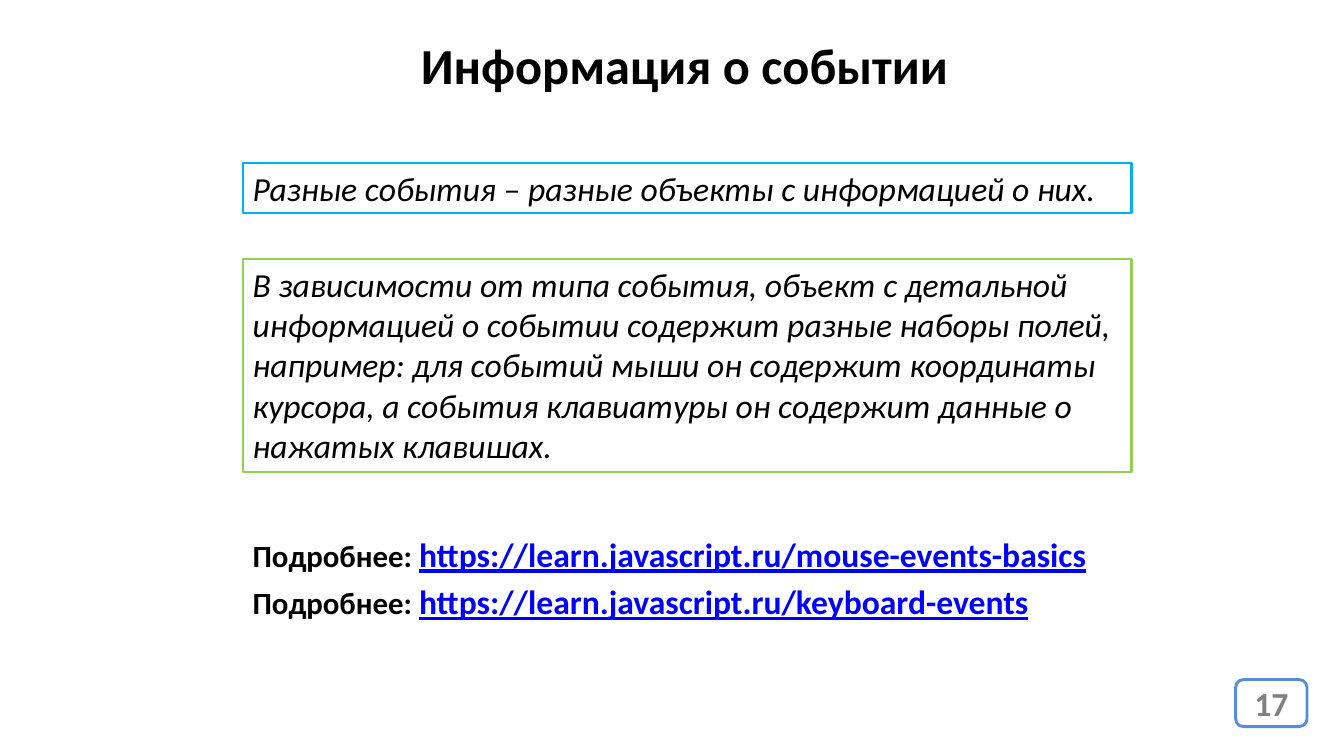
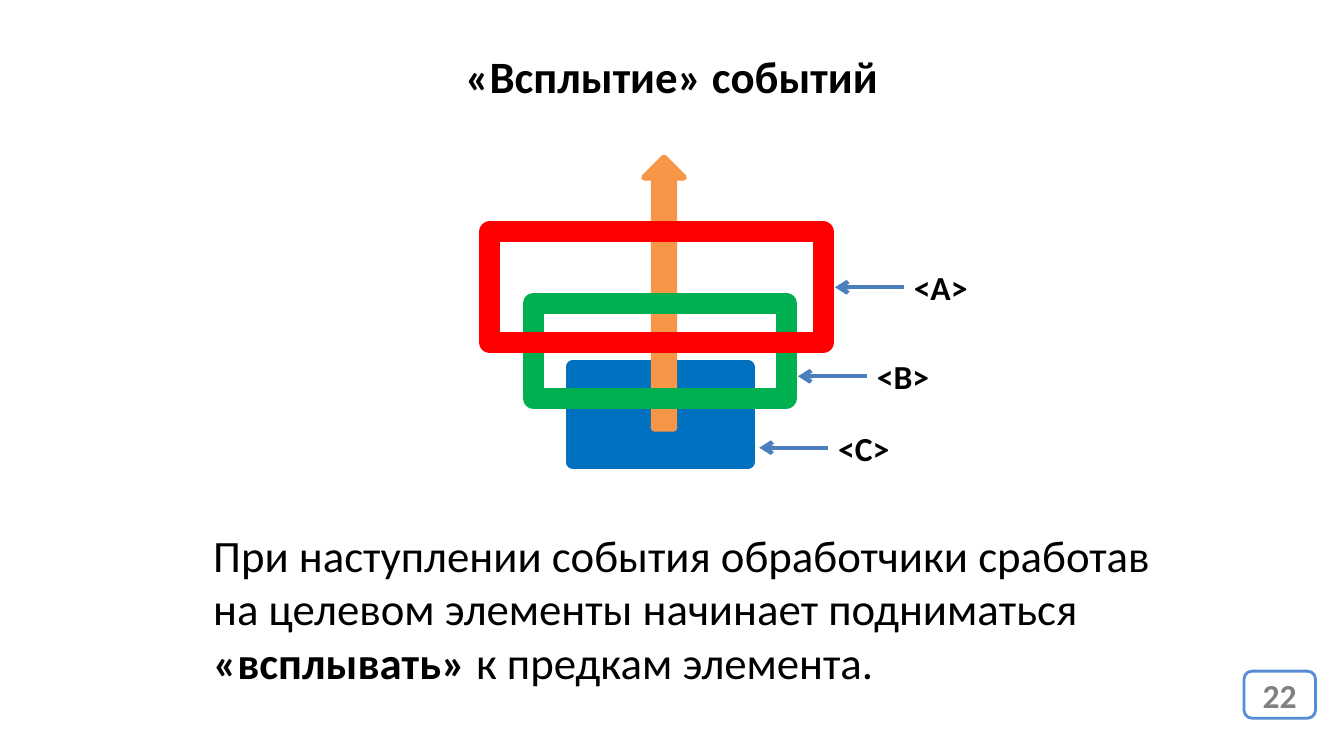
from lxml.etree import SubElement
from pptx import Presentation
from pptx.dml.color import RGBColor
from pptx.enum.shapes import MSO_CONNECTOR, MSO_SHAPE
from pptx.enum.text import MSO_ANCHOR, MSO_AUTO_SIZE, PP_ALIGN
from pptx.oxml.ns import qn
from pptx.util import Inches, Pt

COLUMNS, ROWS = 160, 90
WIDTH, HEIGHT = Inches(13.33), Inches(7.5)
FONT = "Calibri"
COLORS = {
    "text": "000000",
    "link": "0000FF",
    "number": "808080",
    "badge": "558ED5",
    "white": "FFFFFF",
    "note": "00B0F0",
    "detail": "92D050",
    "pointer": "4B7EBC",
    "bubble": "F79646",
    "outer": "FF0000",
    "middle": "00B050",
    "target": "0070C0",
}
TITLE_ONLY = 5
POINTER_GAP, POINTER_LENGTH = 1.4, 8.2
LABEL_HEIGHT = 6


def rgb(name):
    return RGBColor.from_string(COLORS[name])


def grid(x, y):
    """Turn a column and a row into slide lengths."""
    return round(WIDTH * x / COLUMNS), round(HEIGHT * y / ROWS)


def area(x, y, columns, rows):
    return *grid(x, y), *grid(columns, rows)


def write(shape, runs, align=PP_ALIGN.LEFT, anchor=MSO_ANCHOR.TOP, wrap=True):
    """Fill a shape with one paragraph of (text, size, style) runs."""
    frame = shape.text_frame
    frame.auto_size = MSO_AUTO_SIZE.NONE
    frame.word_wrap = wrap
    frame.vertical_anchor = anchor
    paragraph = frame.paragraphs[0]
    paragraph.alignment = align
    for text, size, style in runs:
        run = paragraph.add_run()
        run.text = text
        font = run.font
        font.name, font.size = FONT, Pt(size)
        font.bold = style.get("bold", False)
        font.italic = style.get("italic", False)
        font.underline = style.get("underline", False)
        font.color.rgb = rgb(style.get("color", "text"))


def add_text(slide, place, runs, **layout):
    write(slide.shapes.add_textbox(*area(*place)), runs, **layout)


def add_figure(slide, kind, place, line, weight, fill=None):
    figure = slide.shapes.add_shape(kind, *area(*place))
    figure.shadow.inherit = False
    figure.line.color.rgb = rgb(line)
    figure.line.width = Pt(weight)
    if fill:
        figure.fill.solid()
        figure.fill.fore_color.rgb = rgb(fill)
    else:
        figure.fill.background()
    return figure


def add_framed_text(slide, place, line, text):
    frame = add_figure(slide, MSO_SHAPE.RECTANGLE, place, line, 1.5)
    write(frame, [(text, 24, {"italic": True})])


def add_pointer(slide, edge, row, label):
    """Point from a label at the right edge of an element."""
    tip = edge + POINTER_GAP
    start = tip + POINTER_LENGTH
    pointer = slide.shapes.add_connector(
        MSO_CONNECTOR.STRAIGHT, *grid(start, row), *grid(tip, row))
    pointer.line.color.rgb = rgb("pointer")
    pointer.line.width = Pt(3)
    SubElement(pointer.line._get_or_add_ln(), qn("a:tailEnd"), type="arrow")
    SubElement(pointer._element.spPr, qn("a:effectLst"))
    add_text(slide, (start, row - LABEL_HEIGHT / 2, 9, LABEL_HEIGHT),
             [(label, 24, {"bold": True})], wrap=False)


def add_titled_slide(deck, title, size, title_place, number, badge_corner):
    slide = deck.slides.add_slide(deck.slide_layouts[TITLE_ONLY])
    heading = slide.shapes.title
    heading.left, heading.top, heading.width, heading.height = area(*title_place)
    write(heading, [(title, size, {"bold": True})], align=PP_ALIGN.CENTER)
    badge = add_figure(slide, MSO_SHAPE.ROUNDED_RECTANGLE,
                       (*badge_corner, 8.5, 5.6), "badge", 2, "white")
    write(badge, [(number, 24, {"bold": True, "color": "number"})],
          align=PP_ALIGN.CENTER, anchor=MSO_ANCHOR.MIDDLE)
    return slide


def build_event_info(deck):
    slide = add_titled_slide(deck, "Информация о событии", 36,
                             (48.5, 3.5, 66, 8.5), "17", (147.1, 80.9))
    left, width = 28.9, 105.8
    add_framed_text(slide, (left, 19.4, width, 6), "note",
                    "Разные события – разные объекты с информацией о них.")
    add_framed_text(
        slide, (left, 30.8, width, 25.4), "detail",
        "В зависимости от типа события, объект с детальной информацией "
        "о событии содержит разные наборы полей, например: для событий мыши "
        "он содержит координаты курсора, а события клавиатуры он содержит "
        "данные о нажатых клавишах.")
    addresses = ("https://learn.javascript.ru/mouse-events-basics",
                 "https://learn.javascript.ru/keyboard-events")
    link_style = {"bold": True, "underline": True, "color": "link"}
    for index, address in enumerate(addresses):
        add_text(slide, (left, 63 + 5.6 * index, 114, 6),
                 [("Подробнее: ", 22, {"bold": True}),
                  (address, 24, link_style)])


def build_bubbling(deck):
    slide = add_titled_slide(deck, "«Всплытие» событий", 32,
                             (0, 5.2, COLUMNS, 7.7), "22", (148.1, 79.9))
    outer = (58.3, 27.6, 39.7, 13.2)
    middle = (63.5, 36.1, 30.1, 11.3)
    target = (68.2, 43.7, 20.8, 11.3)

    add_figure(slide, MSO_SHAPE.RECTANGLE, target, "target", 10, "target")
    add_figure(slide, MSO_SHAPE.UP_ARROW, (76.7, 18.8, 4.7, 32.2),
               "bubble", 4.5, "bubble")
    add_figure(slide, MSO_SHAPE.RECTANGLE, middle, "middle", 15)
    add_figure(slide, MSO_SHAPE.RECTANGLE, outer, "outer", 15)

    for element, row, label in ((outer, 34.2, "<A>"),
                                (middle, 44.8, "<B>"),
                                (target, 53.3, "<C>")):
        left, _, width, _ = element
        add_pointer(slide, left + width, row, label)

    add_text(slide, (24.2, 62.2, 116.3, 20.6), [
        ("При наступлении события обработчики сработав на целевом элементы "
         "начинает подниматься ", 32, {}),
        ("«всплывать» ", 32, {"bold": True}),
        ("к предкам элемента.", 32, {}),
    ])


def main():
    deck = Presentation()
    deck.slide_width, deck.slide_height = WIDTH, HEIGHT
    build_event_info(deck)
    build_bubbling(deck)
    deck.save("out.pptx")


if __name__ == "__main__":
    main()
